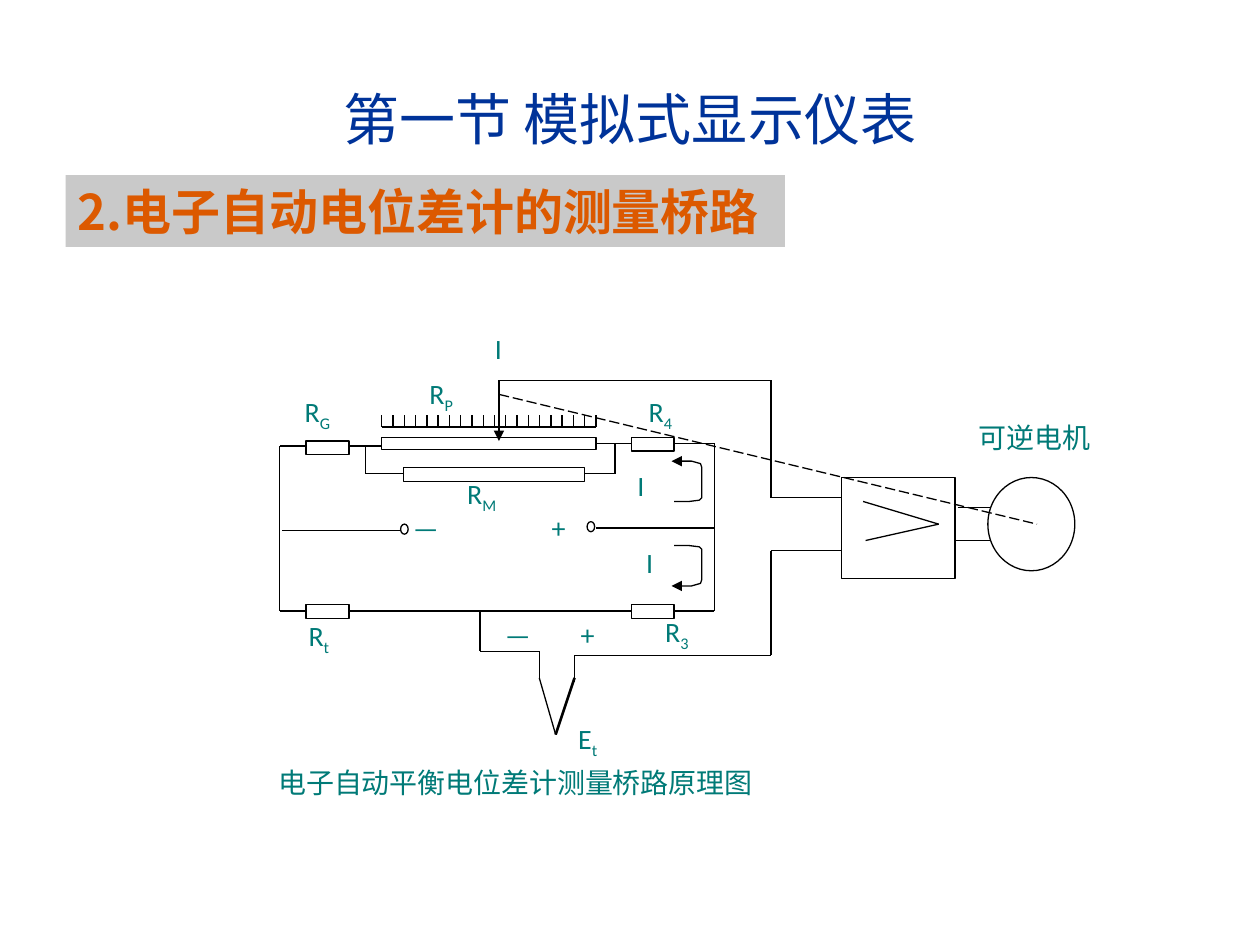
"""Build the slide on the measuring bridge of a self-balancing potentiometer."""
from dataclasses import dataclass
from itertools import pairwise
from typing import Optional

from lxml.etree import SubElement
from pptx import Presentation
from pptx.dml.color import RGBColor
from pptx.enum.dml import MSO_LINE_DASH_STYLE as Dash
from pptx.enum.shapes import MSO_CONNECTOR as Connector, MSO_SHAPE as Preset
from pptx.enum.text import MSO_ANCHOR as Anchor, PP_ALIGN as Align
from pptx.oxml.ns import qn
from pptx.util import Inches, Pt

COLORS = {"title": "003399", "heading": "DC5900", "band": "C0C0C0",
          "label": "007A77", "ink": "000000", "paper": "FFFFFF"}
COLUMNS, ROWS = 1000, 750
CELL = Inches(0.01)


@dataclass(frozen=True)
class Wire:
    points: tuple
    weight: float = 0.75
    arrow: bool = False
    dash: Optional[Dash] = None


@dataclass(frozen=True)
class Part:
    column: int
    row: int
    columns: int
    rows: int
    preset: Preset = Preset.RECTANGLE


@dataclass(frozen=True)
class Label:
    text: str
    column: int
    row: int
    subscript: str = ""
    columns: int = 58
    rows: int = 45


SCALE_LEFT, SCALE_RIGHT, SCALE_ROW, TICK_ROWS, TICK_GAPS = 303, 473, 339, 10, 19
SCALE = [Wire(((SCALE_LEFT, SCALE_ROW), (SCALE_RIGHT, SCALE_ROW)))] + [
    Wire(((column, SCALE_ROW), (column, SCALE_ROW - TICK_ROWS)))
    for column in (SCALE_LEFT + (SCALE_RIGHT - SCALE_LEFT) * tick / TICK_GAPS
                   for tick in range(TICK_GAPS + 1))]

WIRES = [
    Wire(((303, 354), (222, 354), (222, 485), (567, 485), (567, 352), (473, 352))),
    Wire(((224, 421), (318, 421))),
    Wire(((473, 419), (567, 419))),
    Wire(((320, 376), (290, 376), (290, 355))),
    Wire(((464, 376), (488, 376), (488, 352))),
    Wire(((381, 485), (381, 517), (428, 517), (428, 538), (441, 583))),
    Wire(((441, 583), (456, 538)), weight=1.5),
    Wire(((456, 541), (456, 520), (612, 520), (612, 437), (668, 437))),
    Wire(((396, 302), (612, 302), (612, 395), (668, 395))),
    Wire(((760, 403), (790, 403))),
    Wire(((758, 429), (788, 429))),
]
RESISTORS = [Part(column, row, 34, 11)
             for column, row in ((243, 350), (501, 347), (243, 480), (501, 480))]
TERMINALS = [Part(column, row, 6, 8, Preset.OVAL)
             for column, row in ((318, 416), (466, 414))]
PARTS = RESISTORS + TERMINALS + [
    Part(303, 347, 170, 10),
    Part(320, 371, 144, 11),
    Part(668, 379, 90, 80),
    Part(784, 379, 69, 74, Preset.OVAL),
]
OVERLAYS = [
    Wire(((396, 302), (396, 350)), arrow=True),
    Wire(((685, 398), (745, 416), (687, 429))),
    Wire(((396, 313), (823, 416)), dash=Dash.LONG_DASH),
]
MIRROR_ROW = 415.5
UPPER_LOOP = ((535, 398), (547, 398), (555, 397), (557, 395), (557, 389),
              (557, 371), (556, 368), (549, 366), (533, 366))
LOWER_LOOP = tuple((column, 2 * MIRROR_ROW - row) for column, row in UPPER_LOOP)
LABELS = [
    Label("I", 383, 258), Label("I", 496, 367), Label("I", 503, 428),
    Label("—", 318, 400), Label("+", 428, 400),
    Label("—", 391, 485), Label("+", 451, 485),
    Label("R", 232, 308, "G"), Label("R", 331, 294, "P"),
    Label("R", 505, 308, "4"), Label("R", 361, 373, "M"),
    Label("R", 235, 486, "t"), Label("R", 518, 483, "3"),
    Label("E", 449, 568, "t"),
    Label("可逆电机", 767, 329, columns=116),
    Label("电子自动平衡电位差计测量桥路原理图", 211, 603, columns=511),
]


def cells(*counts: float) -> list[int]:
    """Turn counts of grid cells into lengths."""
    return [round(count * CELL) for count in counts]


def color(name: str) -> RGBColor:
    """Look up a named colour."""
    return RGBColor.from_string(COLORS[name])


def ink_line(line, weight: float = 0.75, arrow: bool = False) -> None:
    """Format an outline and its optional arrowhead."""
    line.color.rgb = color("ink")
    line.width = Pt(weight)
    if arrow:
        SubElement(line._get_or_add_ln(), qn("a:tailEnd"), type="triangle")


def draw_wire(page, wire: Wire) -> None:
    """Join the points of a wire with straight connectors."""
    for start, end in pairwise(wire.points):
        link = page.shapes.add_connector(Connector.STRAIGHT, *cells(*start, *end))
        if wire.dash:
            link.line.dash_style = wire.dash
        ink_line(link.line, wire.weight, wire.arrow)
        SubElement(link._element.spPr, qn("a:effectLst"))


def draw_part(page, part: Part) -> None:
    """Draw a white circuit part with a thin outline."""
    shape = page.shapes.add_shape(
        part.preset, *cells(part.column, part.row, part.columns, part.rows))
    shape.shadow.inherit = False
    shape.fill.solid()
    shape.fill.fore_color.rgb = color("paper")
    ink_line(shape.line)


def draw_loop(page, points: tuple) -> None:
    """Draw an open current loop that ends in an arrowhead."""
    builder = page.shapes.build_freeform(*points[0], scale=CELL)
    builder.add_line_segments(points[1:], close=False)
    shape = builder.convert_to_shape()
    shape.shadow.inherit = False
    shape.fill.background()
    ink_line(shape.line, arrow=True)


def write(para, text: str, size: int, font: str, tint: str) -> None:
    """Put text into a paragraph and format it."""
    para.add_run().text = text
    para.font.size = Pt(size)
    para.font.name = font
    para.font.color.rgb = color(tint)


def draw_label(page, label: Label) -> None:
    """Write a label with its optional subscript."""
    box = page.shapes.add_textbox(
        *cells(label.column, label.row, label.columns, label.rows))
    box.text_frame.word_wrap = True
    para = box.text_frame.paragraphs[0]
    write(para, label.text, 16, "Calibri", "label")
    if label.subscript:
        span = para.add_run()
        span.text = label.subscript
        span.font._element.set("baseline", "-25000")


def draw_titles(page) -> None:
    """Fill the title placeholder and the shaded heading."""
    title = page.shapes.title
    title.left, title.top, title.width, title.height = cells(33, 31, 934, 125)
    title.text_frame.vertical_anchor = Anchor.MIDDLE
    para = title.text_frame.paragraphs[0]
    para.alignment = Align.CENTER
    write(para, "第一节 模拟式显示仪表", 32, "Arial", "title")

    band = page.shapes.add_textbox(*cells(52, 139, 571, 57))
    band.fill.solid()
    band.fill.fore_color.rgb = color("band")
    tone = band._element.spPr.find(qn("a:solidFill"))[0]
    SubElement(tone, qn("a:alpha"), val="85000")
    band.text_frame.word_wrap = False
    band.text_frame.vertical_anchor = Anchor.MIDDLE
    para = band.text_frame.paragraphs[0]
    para.alignment = Align.LEFT
    write(para, "2.电子自动电位差计的测量桥路", 28, "Noto Sans CJK SC", "heading")
    para.font.bold = True


def main() -> None:
    """Build and save the deck."""
    deck = Presentation()
    deck.slide_width, deck.slide_height = cells(COLUMNS, ROWS)
    page = deck.slides.add_slide(deck.slide_layouts[5])
    draw_titles(page)
    for draw, items in ((draw_wire, WIRES + SCALE), (draw_part, PARTS),
                        (draw_wire, OVERLAYS), (draw_loop, (UPPER_LOOP, LOWER_LOOP)),
                        (draw_label, LABELS)):
        for item in items:
            draw(page, item)
    deck.save("out.pptx")


if __name__ == "__main__":
    main()
